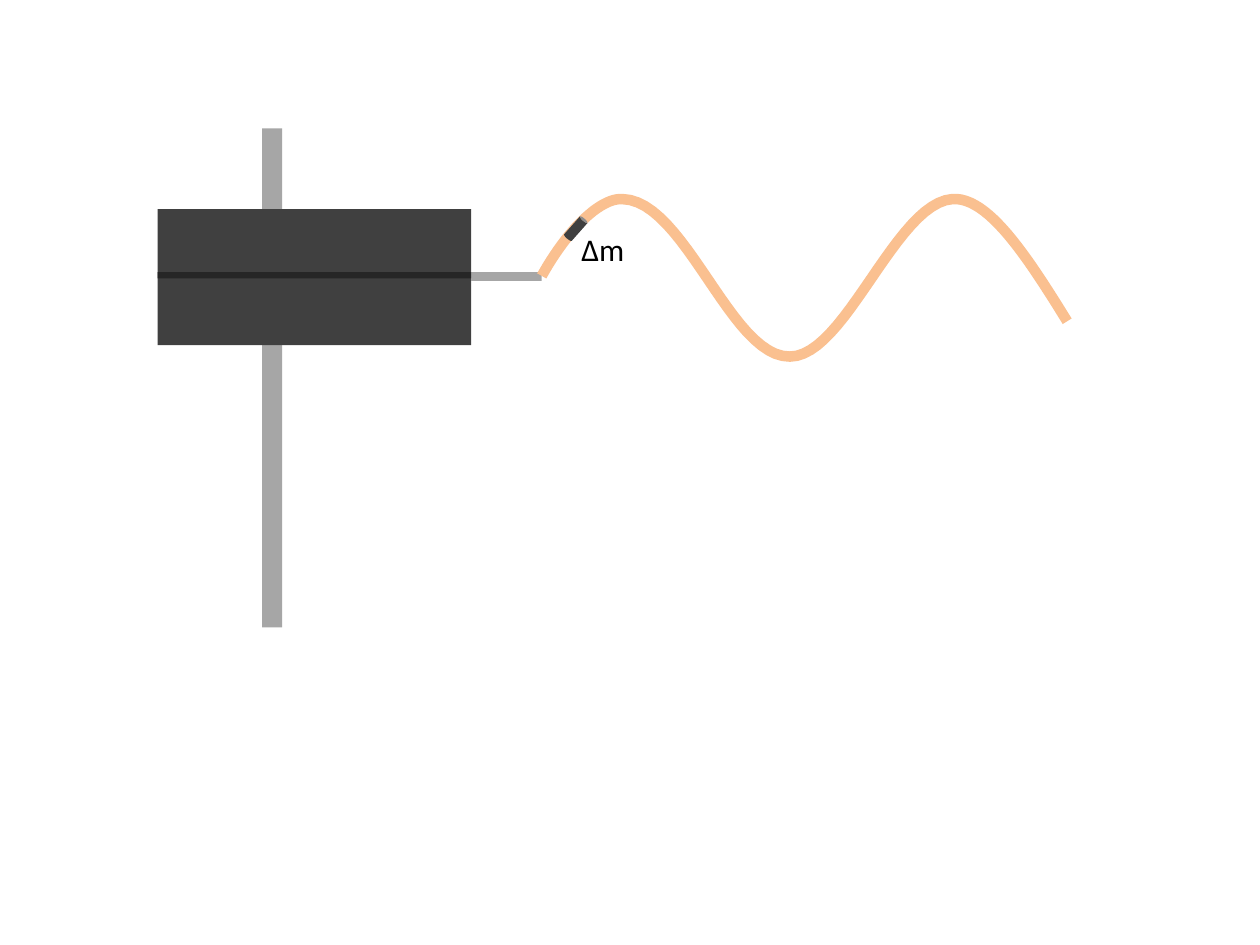
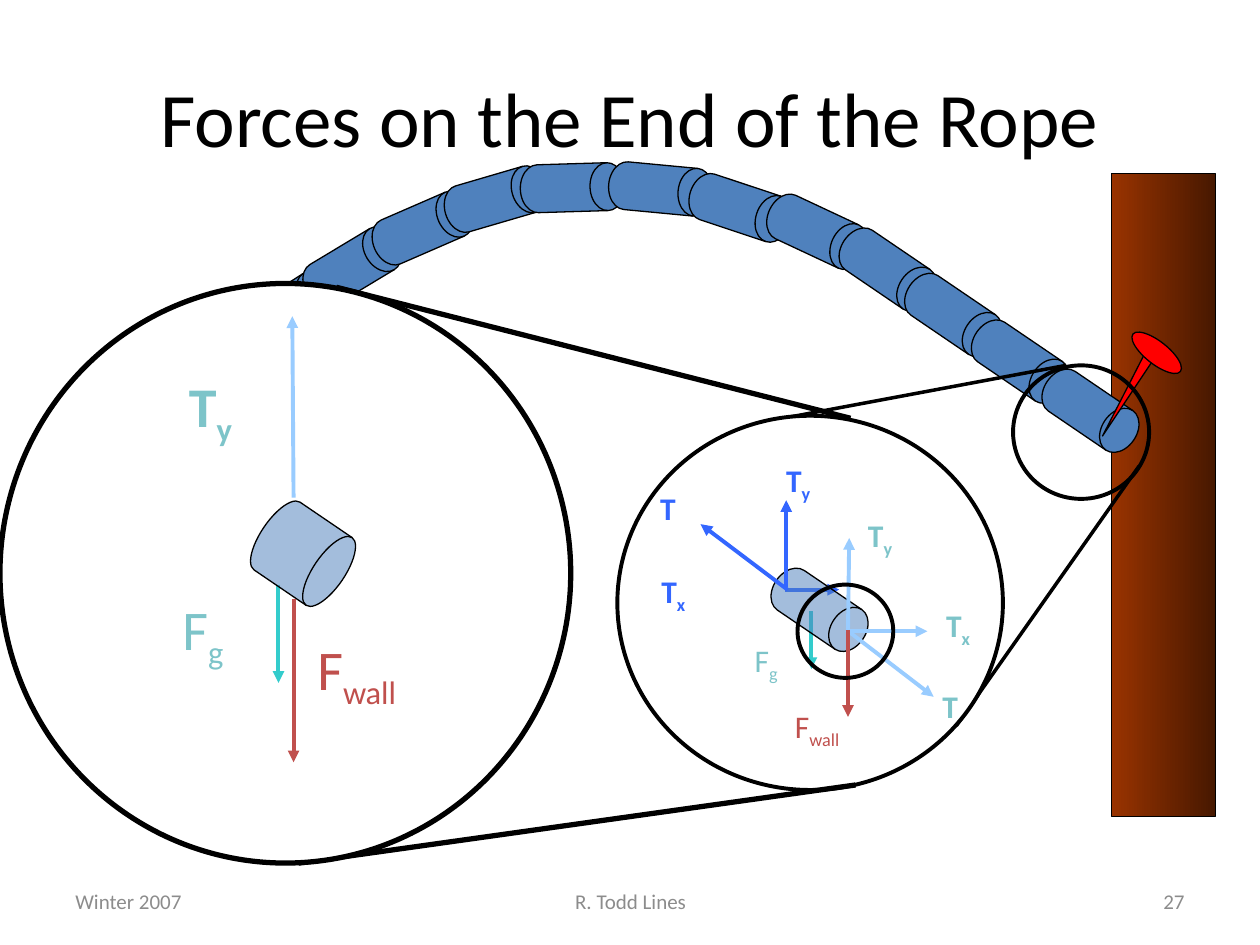
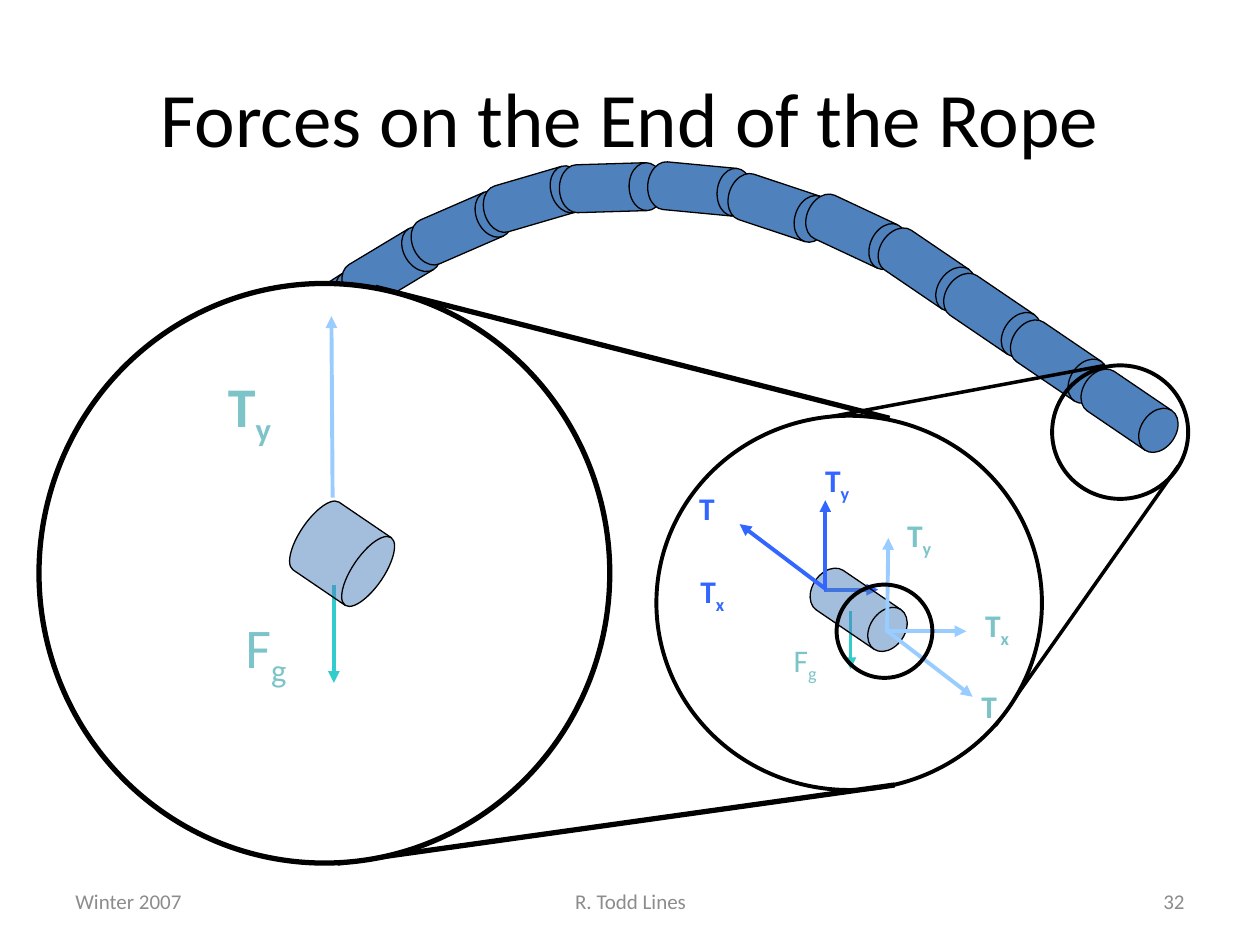
import lxml.etree
import pptx
import pptx.dml.color
import pptx.enum.shapes
import pptx.enum.text
import pptx.oxml.ns
import pptx.util

Inches = pptx.util.Inches
Pt = pptx.util.Pt
RGBColor = pptx.dml.color.RGBColor
SHAPE = pptx.enum.shapes.MSO_SHAPE
ALIGN = pptx.enum.text.PP_ALIGN
ANCHOR = pptx.enum.text.MSO_ANCHOR
AUTO_SIZE = pptx.enum.text.MSO_AUTO_SIZE
qn = pptx.oxml.ns.qn

# Colours
BLACK = RGBColor(0x00, 0x00, 0x00)
WHITE = RGBColor(0xFF, 0xFF, 0xFF)
FOOTER_GREY = RGBColor(0x8C, 0x8C, 0x8C)
ROD_GREY = RGBColor(0xA6, 0xA6, 0xA6)
DARK_GREY = RGBColor(0x40, 0x40, 0x40)
SLOT_GREY = RGBColor(0x26, 0x26, 0x26)
WAVE_ORANGE = RGBColor(0xFA, 0xC0, 0x90)
ROPE_BLUE = RGBColor(0x4F, 0x81, 0xBD)
PULL_BLUE = RGBColor(0x33, 0x66, 0xFF)
PALE_BLUE = RGBColor(0x99, 0xCC, 0xFF)
GRAVITY_TEAL = RGBColor(0x33, 0xCC, 0xCC)
LABEL_TEAL = RGBColor(0x7D, 0xC4, 0xC9)
WALL_RED = RGBColor(0xC0, 0x50, 0x4D)
PIN_RED = RGBColor(0xFF, 0x00, 0x00)
WOOD_LIGHT = RGBColor(0x99, 0x33, 0x00)
WOOD_DARK = RGBColor(0x47, 0x18, 0x00)

FONT = "Calibri"
TITLE_FORMAT = {"name": FONT, "size": Pt(44)}
FOOTER_FORMAT = {"name": FONT, "size": Pt(12)}
FOOTER_TOP, FOOTER_HEIGHT = 6.95, 0.4
ROPE_TILT = 34.2
SEGMENT_SIZE = (0.83, 0.38)

# Rope segments from left to right: left, top, rotation
ROPE_SEGMENTS = [
    (0, 1.75, 328.4), (0.56, 1.36, 324.8), (1.09, 0.99, 327.4),
    (1.61, 0.63, 329), (2.17, 0.32, 336.5), (2.75, 0.09, 343.7),
    (3.36, 0, 358.3), (4.06, 0.01, 5.4), (4.69, 0.16, 18.4),
    (5.3, 0.35, 25.1), (5.86, 0.65, ROPE_TILT), (6.38, 1.01, ROPE_TILT),
    (6.91, 1.38, ROPE_TILT), (7.47, 1.77, ROPE_TILT),
]

# Cubic curve: start point, then two control points and an end for each piece
WAVE_START = (0, 0.61)
WAVE_CURVES = [
    ((0.2, 0.25), (0.46, -0.01), (0.64, 0)),
    ((1.14, 0.01), (1.5, 1.26), (1.97, 1.25)),
    ((2.41, 1.25), (2.81, 0.03), (3.26, 0)),
    ((3.54, -0.02), (3.85, 0.45), (4.17, 0.97)),
]
CURVE_STEPS = 24


def apply_format(target, values):
    for name, value in values.items():
        setattr(target, name, value)


class Region:
    """Draws on a slide with positions relative to a corner."""

    def __init__(self, slide, left, top):
        self.slide, self.left, self.top = slide, left, top

    def place(self, x, y):
        return Inches(self.left + x), Inches(self.top + y)

    def shape(self, kind, box, fill=None, line_width=None, rotation=0, alpha=None):
        x, y, width, height = box
        shape = self.slide.shapes.add_shape(
            kind, *self.place(x, y), Inches(width), Inches(height))
        shape.shadow.inherit = False
        shape.rotation = rotation
        if fill is None:
            shape.fill.background()
        else:
            shape.fill.solid()
            shape.fill.fore_color.rgb = fill
        if alpha is not None:
            colour = shape._element.spPr.find(qn("a:solidFill"))[0]
            lxml.etree.SubElement(colour, qn("a:alpha")).set("val", str(alpha * 1000))
        if line_width is None:
            shape.line.fill.background()
        else:
            shape.line.color.rgb = BLACK
            shape.line.width = Pt(line_width)
        return shape

    def line(self, start, end, color=BLACK, width=2.25, arrow=False):
        connector = self.slide.shapes.add_connector(
            pptx.enum.shapes.MSO_CONNECTOR.STRAIGHT,
            *self.place(*start), *self.place(*end))
        connector.line.color.rgb = color
        connector.line.width = Pt(width)
        if arrow:
            tail = lxml.etree.SubElement(connector.line._get_or_add_ln(), qn("a:tailEnd"))
            tail.set("type", "triangle")
        lxml.etree.SubElement(connector._element.spPr, qn("a:effectLst"))

    def arrow(self, start, end, color):
        self.line(start, end, color, arrow=True)

    def text(self, box, parts, color, font_format, wrap=True,
             align=ALIGN.LEFT, anchor=ANCHOR.TOP, auto_size=AUTO_SIZE.NONE):
        """Write the first part on the baseline and any further part below it."""
        x, y, width, height = box
        text_box = self.slide.shapes.add_textbox(
            *self.place(x, y), Inches(width), Inches(height))
        apply_format(text_box.text_frame, {
            "word_wrap": wrap, "auto_size": auto_size, "vertical_anchor": anchor})
        paragraph = text_box.text_frame.paragraphs[0]
        paragraph.alignment = align
        for index, part in enumerate(parts):
            run = paragraph.add_run()
            run.text = part
            apply_format(run.font, font_format)
            run.font.color.rgb = color
            if index:
                run._r.get_or_add_rPr().set("baseline", "-25000")

    def label(self, box, parts, color, size=18, wrap=False):
        font_format = {"name": FONT, "size": Pt(size), "bold": parts[0] == "T"}
        self.text(box, parts, color, font_format, wrap,
                  auto_size=AUTO_SIZE.SHAPE_TO_FIT_TEXT)


# Slide with the shaken rope
def draw_shaker(slide, left, top):
    shaker = Region(slide, left, top)
    for box, color in [
        ((0.83, 0, 0.16, 3.96), ROD_GREY),
        ((0, 0.64, 2.49, 1.08), DARK_GREY),
        ((2.49, 1.14, 0.56, 0.07), ROD_GREY),
        ((0, 1.14, 2.49, 0.05), SLOT_GREY),
    ]:
        shaker.shape(SHAPE.RECTANGLE, box, color)


def curve_points():
    start = WAVE_START
    for first, second, end in WAVE_CURVES:
        for step in range(1, CURVE_STEPS + 1):
            t = step / CURVE_STEPS
            weights = ((1 - t) ** 3, 3 * t * (1 - t) ** 2, 3 * t ** 2 * (1 - t), t ** 3)
            corners = (start, first, second, end)
            yield tuple(sum(weight * corner[axis] for weight, corner in zip(weights, corners))
                        for axis in (0, 1))
        start = end


def draw_wave(slide, left, top):
    region = Region(slide, left, top)
    builder = slide.shapes.build_freeform(*region.place(*WAVE_START))
    builder.add_line_segments([region.place(*point) for point in curve_points()], close=False)
    wave = builder.convert_to_shape()
    wave.shadow.inherit = False
    wave.fill.background()
    wave.line.color.rgb = WAVE_ORANGE
    wave.line.width = Pt(6)
    # Small piece of the rope
    region.shape(SHAPE.CAN, (0.23, 0.13, 0.08, 0.21), DARK_GREY, rotation=41.5)
    region.label((0.16, 0.2, 0.62, 0.4), [" Δm"], BLACK)


# Parts of the force slides
def draw_title(slide, title_text):
    title = slide.shapes.title
    apply_format(title, {"left": Inches(0.5), "top": Inches(0.3),
                         "width": Inches(9), "height": Inches(1.25)})
    title.text_frame.text = title_text
    title.text_frame.vertical_anchor = ANCHOR.MIDDLE
    paragraph = title.text_frame.paragraphs[0]
    paragraph.alignment = ALIGN.CENTER
    apply_format(paragraph.font, TITLE_FORMAT)
    paragraph.font.color.rgb = BLACK


def draw_footer(slide, number):
    footer = Region(slide, 0, FOOTER_TOP)
    for left, width, words, align in [
        (0.5, 2.33, "Winter 2007", ALIGN.LEFT),
        (3.42, 3.17, "R. Todd Lines", ALIGN.CENTER),
        (7.17, 2.33, str(number), ALIGN.RIGHT),
    ]:
        footer.text((left, 0, width, FOOTER_HEIGHT), [words], FOOTER_GREY,
                    FOOTER_FORMAT, align=align, anchor=ANCHOR.MIDDLE)


def draw_wall(slide, left, top):
    wall = Region(slide, left, top).shape(
        SHAPE.RECTANGLE, (0, 0, 0.83, 5.1), WOOD_LIGHT, 0.75)
    wall.fill.gradient()
    wall.fill.gradient_angle = 0
    for stop, position, color in zip(
            wall.fill.gradient_stops, (0, 1), (WOOD_LIGHT, WOOD_DARK)):
        stop.position = position
        stop.color.rgb = color


def draw_rope(slide, left, top):
    rope = Region(slide, left, top)
    for x, y, rotation in ROPE_SEGMENTS:
        rope.shape(SHAPE.FLOWCHART_DIRECT_ACCESS_STORAGE, (x, y, *SEGMENT_SIZE),
                   ROPE_BLUE, 0.75, rotation)


def draw_pin(slide, left, top):
    pin = Region(slide, left, top)
    pin.shape(SHAPE.ISOSCELES_TRIANGLE, (0, 0, 0.1, 0.87), PIN_RED, 0.75, 210.4)
    pin.shape(SHAPE.OVAL, (0.02, 0.06, 0.48, 0.18), PIN_RED, 0.75, 38.2)


def draw_end_lens(slide, left, top, on_wall):
    """Rope end, magnified once, with the tension at both of its faces."""
    lens = Region(slide, left, top)
    lens.shape(SHAPE.OVAL, (3.14, -0.4, 1.08, 1.06), line_width=2.25)
    lens.line((3.56, -0.4), (1.26, 0.03), width=2)
    lens.line((4.14, 0.4), (2.69, 2.46), width=2)
    lens.shape(SHAPE.OVAL, (0, 0, 3.06, 2.97), WHITE, 2.25)

    lens.arrow((1.54, 1.55), (1.54, 2.01), GRAVITY_TEAL)
    lens.arrow((1.33, 1.38), (1.76, 1.38), PULL_BLUE)
    lens.shape(SHAPE.FLOWCHART_DIRECT_ACCESS_STORAGE, (1.19, 1.35, *SEGMENT_SIZE),
               ROPE_BLUE, 0.75, ROPE_TILT, alpha=52)
    for start, end, color in [
        ((1.34, 1.36), (1.34, 0.67), PULL_BLUE),
        ((1.35, 1.38), (0.66, 0.86), PULL_BLUE),
        ((1.83, 1.72), (1.84, 0.97), PALE_BLUE),
        ((1.84, 1.71), (2.46, 1.71), PALE_BLUE),
        ((1.82, 1.7), (2.51, 2.23), PALE_BLUE),
    ]:
        lens.arrow(start, end, color)
    for x, y, width, parts, color in [
        (0.24, 0.53, 0.35, ["T"], PULL_BLUE),
        (0.25, 1.19, 0.45, ["T", "x"], PULL_BLUE),
        (1.24, 0.31, 0.45, ["T", "y"], PULL_BLUE),
        (2.48, 2.1, 0.35, ["T"], LABEL_TEAL),
        (1.89, 0.75, 0.45, ["T", "y"], LABEL_TEAL),
        (2.51, 1.46, 0.45, ["T", "x"], LABEL_TEAL),
        (0.99, 1.74, 0.45, ["F", "g"], LABEL_TEAL),
    ]:
        lens.label((x, y, width, 0.4), parts, color)
    if on_wall:
        lens.arrow((1.83, 1.7), (1.83, 2.39), WALL_RED)
        lens.label((1.31, 2.26, 0.64, 0.4), ["F", "wall"], WALL_RED)
    lens.shape(SHAPE.OVAL, (1.43, 1.34, 0.76, 0.74), line_width=2.25)


def draw_tip_lens(slide, left, top, on_wall):
    """Last bit of the rope, magnified again, with its vertical forces."""
    lens = Region(slide, left, top)
    lens.line((6.75, 1.07), (2.67, 0.03), width=3)
    lens.line((6.79, 3.98), (2.37, 4.6), width=3)
    lens.shape(SHAPE.OVAL, (0, 0, 4.53, 4.6), WHITE, 3)

    gravity_x, label_x, label_y = (2.21, 1.35, 2.42) if on_wall else (2.34, 1.54, 2.56)
    lens.label((1.4, 0.65, 0.86, 0.63), ["T", "y"], LABEL_TEAL, 32, wrap=True)
    lens.label((label_x, label_y, 0.64, 0.63), ["F", "g"], LABEL_TEAL, 32)
    lens.arrow((gravity_x, 2.39), (gravity_x, 3.17), GRAVITY_TEAL)
    lens.shape(SHAPE.FLOWCHART_DIRECT_ACCESS_STORAGE, (2.03, 1.82, 0.75, 0.65),
               ROPE_BLUE, 0.75, ROPE_TILT, alpha=52)
    lens.arrow((2.33, 1.7), (2.32, 0.26), PALE_BLUE)
    if on_wall:
        lens.arrow((2.33, 2.5), (2.33, 3.8), WALL_RED)
        lens.label((2.42, 2.74, 0.97, 0.64), ["F", "wall"], WALL_RED, 32)


def add_shaker_slide(presentation):
    slide = presentation.slides.add_slide(presentation.slide_layouts[6])
    draw_shaker(slide, 1.25, 1.02)
    draw_wave(slide, 4.3, 1.58)


def add_force_slide(presentation, number, left, on_wall):
    slide = presentation.slides.add_slide(presentation.slide_layouts[5])
    draw_footer(slide, number)
    draw_title(slide, "Forces on the End of the Rope")
    if on_wall:
        draw_wall(slide, left + 8.82, 1.38)
    draw_rope(slide, left + 0.77, 1.3)
    if on_wall:
        draw_pin(slide, left + 8.92, 2.65)
    draw_end_lens(slide, left + 4.9, 3.3, on_wall)
    draw_tip_lens(slide, left, 2.25, on_wall)


def main():
    presentation = pptx.Presentation()
    presentation.slide_width = Inches(10)
    presentation.slide_height = Inches(7.5)
    add_shaker_slide(presentation)
    add_force_slide(presentation, 27, left=0, on_wall=True)
    add_force_slide(presentation, 32, left=0.31, on_wall=False)
    presentation.save("out.pptx")


if __name__ == "__main__":
    main()
